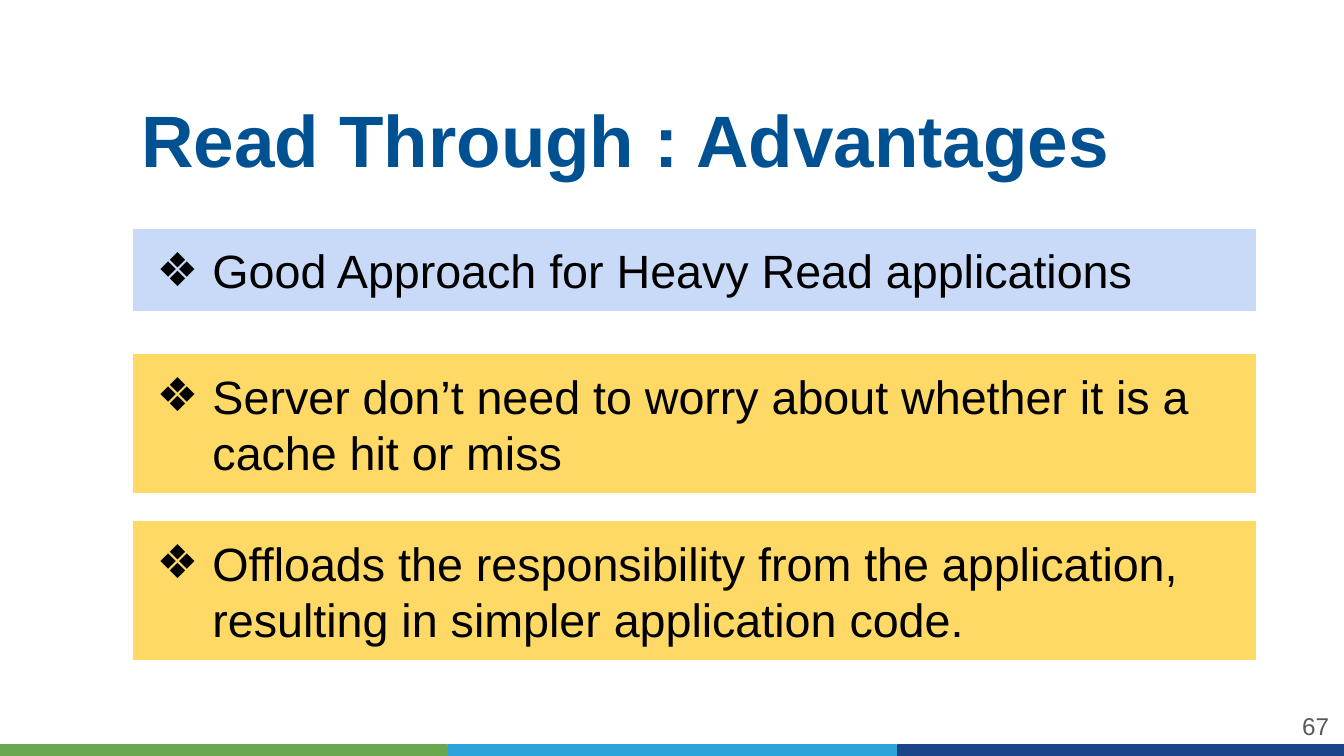
from lxml import etree
from pptx import Presentation
from pptx.dml.color import RGBColor
from pptx.enum.shapes import MSO_SHAPE
from pptx.enum.text import MSO_ANCHOR, PP_ALIGN
from pptx.oxml.ns import qn
from pptx.util import Pt

RECTANGLE = MSO_SHAPE.RECTANGLE
MIDDLE = MSO_ANCHOR.MIDDLE
LEFT, RIGHT = PP_ALIGN.LEFT, PP_ALIGN.RIGHT

COLORS = {
    "title": "005191",
    "text": "000000",
    "page": "595959",
    "outline": "FFFFFF",
    "blue_card": "C9DAF8",
    "yellow_card": "FFD966",
    "green": "6AA84F",
    "sky": "2CA3DB",
    "navy": "1C4587",
}
CARDS = [
    (122.5, 44.5, "blue_card", "Good Approach for Heavy Read applications"),
    (189.5, 75, "yellow_card",
     "Server don’t need to worry about whether it is a cache hit or miss"),
    (279, 75, "yellow_card",
     "Offloads the responsibility from the application, "
     "resulting in simpler application code."),
]


class SlideBuilder:
    """Hold the text style and the current slide, and draw its elements."""

    font_name = "Arial"

    def __init__(self, slide):
        self.slide = slide

    def set_text(self, shape, text, size, color, inset, bold=False, align=LEFT):
        frame = shape.text_frame
        frame.word_wrap = True
        frame.vertical_anchor = MIDDLE
        frame.margin_left = frame.margin_right = Pt(inset)
        frame.margin_top = frame.margin_bottom = Pt(inset)
        frame.text = text
        paragraph = frame.paragraphs[0]
        paragraph.alignment = align
        for run in paragraph.runs:
            run.font.name = self.font_name
            run.font.size = Pt(size)
            run.font.bold = bold
            run.font.color.rgb = RGBColor.from_string(COLORS[color])
        return paragraph

    def label(self, left, top, width, height, text, size, color, **style):
        shape = self.slide.shapes.add_textbox(Pt(left), Pt(top), Pt(width), Pt(height))
        self.set_text(shape, text, size, color, 5, **style)

    def rectangle(self, left, top, width, height, fill, line):
        shape = self.slide.shapes.add_shape(
            RECTANGLE, Pt(left), Pt(top), Pt(width), Pt(height))
        shape.shadow.inherit = False
        shape.fill.solid()
        shape.fill.fore_color.rgb = RGBColor.from_string(COLORS[fill])
        shape.line.color.rgb = RGBColor.from_string(COLORS[line])
        shape.line.width = Pt(0.75)
        return shape

    def card(self, top, height, fill, text):
        shape = self.rectangle(70.75, top, 602.5, height, fill, "outline")
        paragraph = self.set_text(shape, text, 25, "text", 7.2)
        self.bullet(paragraph)

    def bullet(self, paragraph):
        properties = paragraph._p.get_or_add_pPr()
        properties.set("marL", str(Pt(36)))
        properties.set("indent", str(Pt(-30)))
        color = etree.SubElement(properties, qn("a:buClr"))
        etree.SubElement(color, qn("a:srgbClr"), val=COLORS["text"])
        etree.SubElement(properties, qn("a:buFont"), typeface=self.font_name)
        etree.SubElement(properties, qn("a:buChar"), char="❖")


def main():
    presentation = Presentation()
    presentation.slide_width = Pt(720)
    presentation.slide_height = Pt(405)
    builder = SlideBuilder(presentation.slides.add_slide(presentation.slide_layouts[6]))

    for index, color in enumerate(("green", "sky", "navy")):
        builder.rectangle(index * 240.5, 399, 239.5, 6, color, color)
    builder.label(674, 373.5, 43, 31, "67", 13, "page", align=RIGHT)
    builder.label(70.75, 45.5, 624, 57.5, "Read Through : Advantages", 39, "title", bold=True)
    for card in CARDS:
        builder.card(*card)

    presentation.save("out.pptx")


if __name__ == "__main__":
    main()
